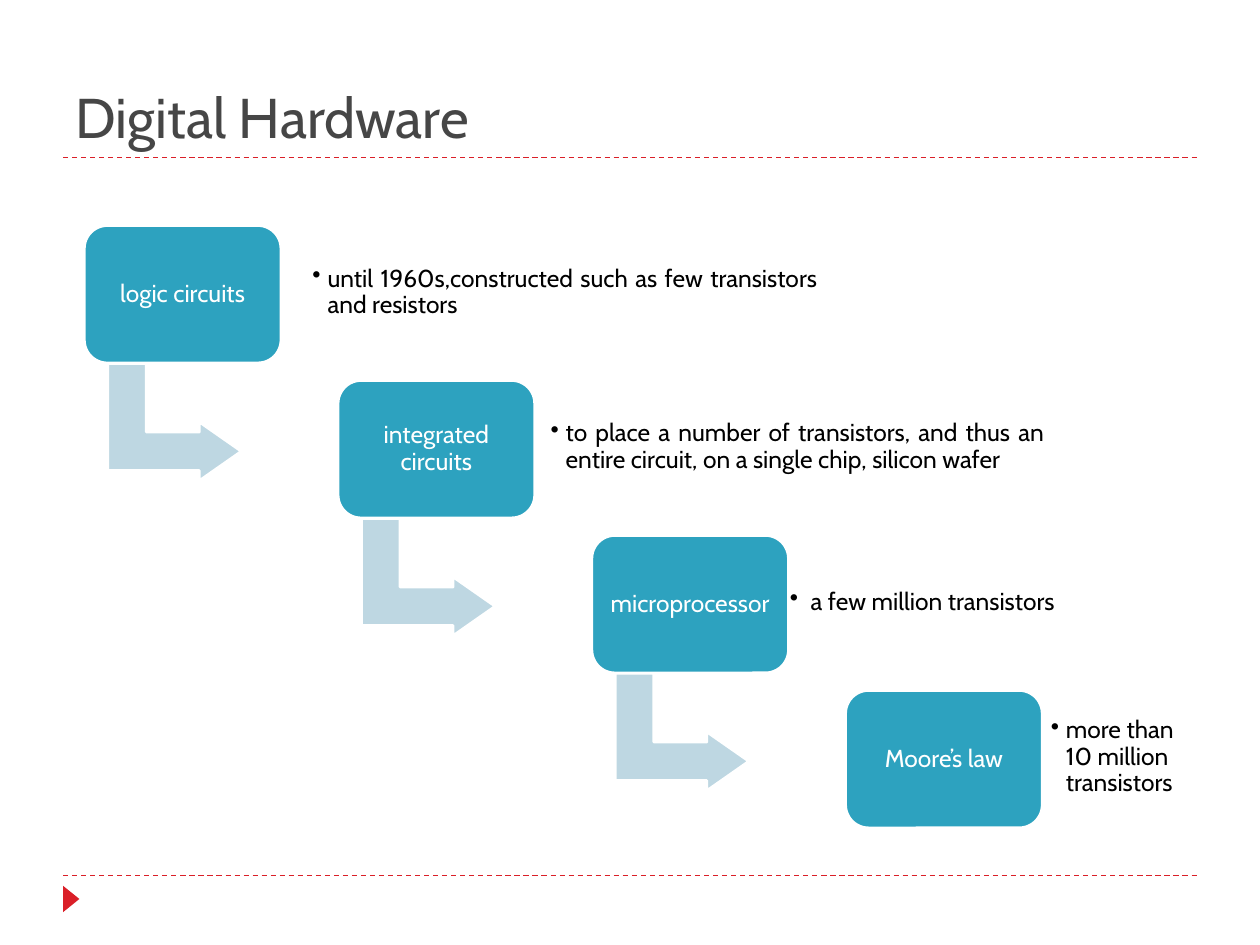
from pptx import Presentation
from pptx.dml.color import RGBColor
from pptx.enum.dml import MSO_LINE
from pptx.enum.shapes import MSO_CONNECTOR, MSO_SHAPE
from pptx.enum.text import MSO_ANCHOR, PP_ALIGN
from pptx.util import Inches, Pt
from lxml import etree

RED = RGBColor(0xDA, 0x1F, 0x28)
GRAY = RGBColor(0x46, 0x46, 0x46)
TEAL = RGBColor(0x2D, 0xA2, 0xBF)
PALE = RGBColor(0xBE, 0xD7, 0xE2)
WHITE = RGBColor(0xFF, 0xFF, 0xFF)
BLACK = RGBColor(0, 0, 0)
A = "{http://schemas.openxmlformats.org/drawingml/2006/main}"


def add_shape(kind, x, y, w, h, fill, adjustments=(), rotation=0):
    sp = s.shapes.add_shape(kind, Inches(x), Inches(y), Inches(w), Inches(h))
    sp.shadow.inherit = False
    sp.rotation = rotation
    for i, value in enumerate(adjustments):
        sp.adjustments[i] = value
    sp.fill.solid()
    sp.fill.fore_color.rgb = fill
    sp.line.color.rgb = WHITE
    sp.line.width = Pt(1.5)
    return sp


def set_text(sp, text, size, color, align, anchor, inset):
    tf = sp.text_frame
    tf.word_wrap = True
    tf.vertical_anchor = anchor
    tf.margin_left = tf.margin_right = Inches(inset)
    tf.margin_top = tf.margin_bottom = Inches(0.06)
    p = tf.paragraphs[0]
    p.alignment = align
    r = p.add_run()
    r.text = text
    r.font.size = Pt(size)
    r.font.name = "Cabin"
    r.font.color.rgb = color
    return p


prs = Presentation()
prs.slide_width = Inches(10)
prs.slide_height = Inches(7.5)
s = prs.slides.add_slide(prs.slide_layouts[6])

for y in (6.95, 1.25):
    rule = s.shapes.add_connector(MSO_CONNECTOR.STRAIGHT, Inches(0.5), Inches(y), Inches(9.5), Inches(y))
    rule.line.color.rgb = RED
    rule.line.width = Pt(0.75)
    rule.line.dash_style = MSO_LINE.DASH
    etree.SubElement(rule._element.spPr, A + "effectLst")

marker = add_shape(MSO_SHAPE.ISOSCELES_TRIANGLE, 0.46, 7.07, 0.21, 0.13, RED, rotation=90)
marker.line.fill.background()

title = s.shapes.add_textbox(Inches(0.5), Inches(0.17), Inches(9), Inches(1.08))
set_text(title, "Digital Hardware", 32, GRAY, PP_ALIGN.LEFT, MSO_ANCHOR.BOTTOM, 0.1)

steps = [
    ("logic circuits", "until 1960s,constructed such as few transistors and resistors",
     2.42, 4.13, PP_ALIGN.JUSTIFY),
    ("integrated circuits",
     "to place a number of transistors, and thus an entire circuit, on a single chip, silicon wafer",
     4.31, 4.04, PP_ALIGN.JUSTIFY),
    ("microprocessor", " a few million transistors", 6.21, 3.2, PP_ALIGN.LEFT),
    ("Moore’s law", "more than 10 million transistors", 8.28, 1.14, PP_ALIGN.LEFT),
]
for i, (label, detail, detail_x, detail_w, align) in enumerate(steps):
    x = 0.67 + 2.014 * i
    y = 1.79 + 1.23 * i
    if i < len(steps) - 1:
        add_shape(MSO_SHAPE.BENT_UP_ARROW, x + 0.25, y + 1.03, 0.93, 1.06, PALE, (0.328, 0.25, 0.358), 90)
    box = add_shape(MSO_SHAPE.ROUNDED_RECTANGLE, x, y, 1.56, 1.09, TEAL, (0.167,))
    p = set_text(box, label, 14, WHITE, PP_ALIGN.CENTER, MSO_ANCHOR.MIDDLE, 0.04)
    p.line_spacing = 0.9

    note = s.shapes.add_textbox(Inches(detail_x), Inches(y + 0.09), Inches(detail_w), Inches(0.88))
    p = set_text(note, detail, 14, BLACK, align, MSO_ANCHOR.MIDDLE, 0.06)
    p.line_spacing = 0.9
    pPr = p._p.get_or_add_pPr()
    pPr.set("marL", str(Inches(0.12)))
    pPr.set("indent", str(Inches(-0.12)))
    etree.SubElement(pPr, A + "buChar", char="•")

prs.save("out.pptx")
